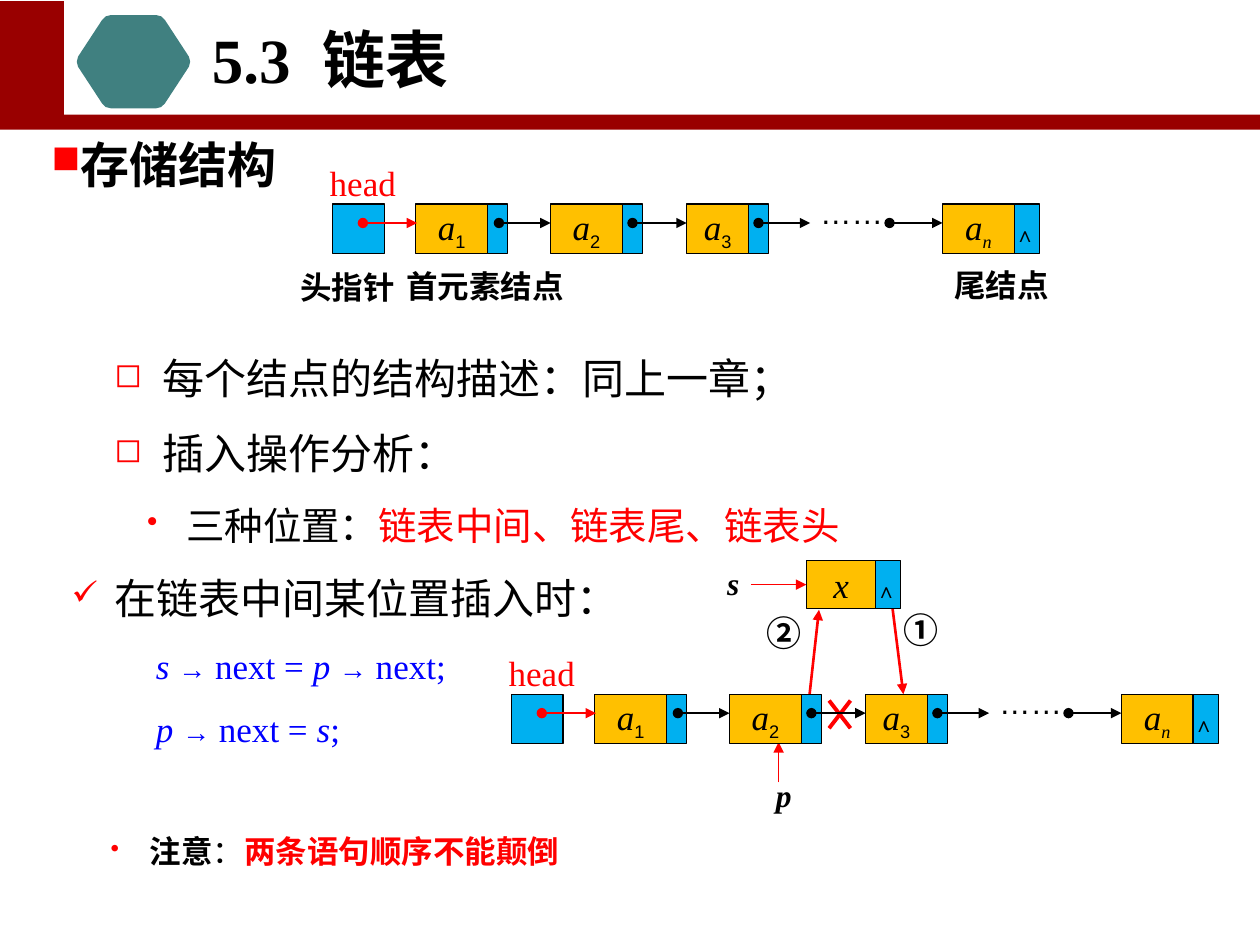
from lxml import etree
from pptx import Presentation
from pptx.dml.color import RGBColor
from pptx.enum.shapes import MSO_CONNECTOR, MSO_SHAPE
from pptx.enum.text import MSO_ANCHOR, PP_ALIGN
from pptx.oxml.ns import qn
from pptx.util import Inches, Pt

RED, BLACK, WHITE = "FF0000", "000000", "FFFFFF"
MAROON, TEAL, GOLD, SKY, BLUE = "990000", "408080", "FFC000", "00B0F0", "0000FF"
SERIF, SANS, HAN = "Times New Roman", "Arial", "Noto Sans CJK SC"
LINK = 0.16


def rgb(code):
    return RGBColor.from_string(code)


def style(font, size=None, name=None, color=None, bold=None, italic=None):
    if size:
        font.size = Pt(size)
    if name:
        font.name = name
    if color:
        font.color.rgb = rgb(color)
    if bold is not None:
        font.bold = bold
    if italic is not None:
        font.italic = italic


def write(par, runs, **look):
    """Fill a paragraph; each run is a string or a (string, changes) pair."""
    style(par.font, **look)
    for item in [runs] if isinstance(runs, str) else runs:
        text, diff = (item, {}) if isinstance(item, str) else item
        diff = dict(diff)
        base = diff.pop("base", None)
        run = par.add_run()
        run.text = text
        style(run.font, **diff)
        if base:
            run.font._element.set("baseline", str(base))


def bullet(par, char, left, hang):
    props = par._p.get_or_add_pPr()
    props.set("marL", str(Inches(left)))
    props.set("indent", str(-Inches(hang)))
    if char:
        tint = etree.SubElement(props, qn("a:buClr"))
        etree.SubElement(tint, qn("a:srgbClr")).set("val", RED)
        etree.SubElement(props, qn("a:buSzPct")).set("val", "80000")
        etree.SubElement(props, qn("a:buChar")).set("char", char)


def frame(slide, x, y, w, h, wrap=True):
    box = slide.shapes.add_textbox(Inches(x), Inches(y), Inches(w), Inches(h))
    box.text_frame.word_wrap = wrap
    return box.text_frame


def label(slide, x, y, runs, wide=0.9, **look):
    """One line of text centred on a point."""
    text = frame(slide, x - wide / 2, y - 0.2, wide, 0.4, wrap=False)
    text.vertical_anchor = MSO_ANCHOR.MIDDLE
    par = text.paragraphs[0]
    par.alignment = PP_ALIGN.CENTER
    write(par, runs, **look)


def paint(shape, fill, edge=None):
    shape.shadow.inherit = False
    shape.fill.solid()
    shape.fill.fore_color.rgb = rgb(fill)
    if edge:
        shape.line.color.rgb = rgb(edge)
        shape.line.width = Pt(0.75)
    else:
        shape.line.fill.background()


def rect(slide, x, y, w, h, fill, edge=None):
    shape = slide.shapes.add_shape(
        MSO_SHAPE.RECTANGLE, Inches(x), Inches(y), Inches(w), Inches(h))
    paint(shape, fill, edge)
    return shape


def cell(slide, x, y, w, h, fill, runs=None, **look):
    shape = rect(slide, x, y, w, h, fill, BLACK)
    if runs:
        text = shape.text_frame
        text.word_wrap = False
        text.vertical_anchor = MSO_ANCHOR.MIDDLE
        par = text.paragraphs[0]
        par.alignment = PP_ALIGN.CENTER
        write(par, runs, name=SERIF, color=BLACK, **look)


def end(slide, x, y, h):
    cell(slide, x, y, 0.2, h, SKY, [" ∧", (" ", dict(size=20, bold=False))],
         size=12, bold=True)


def line(slide, x1, y1, x2, y2, color, width=0.75, dot=False, tip=True):
    wire = slide.shapes.add_connector(
        MSO_CONNECTOR.STRAIGHT, Inches(x1), Inches(y1), Inches(x2), Inches(y2))
    wire.line.color.rgb = rgb(color)
    wire.line.width = Pt(width)
    props = wire.line._get_or_add_ln()
    if dot:
        etree.SubElement(props, qn("a:headEnd")).set("type", "oval")
    if tip:
        etree.SubElement(props, qn("a:tailEnd")).set("type", "triangle")
    etree.SubElement(wire._element.spPr, qn("a:effectLst"))


def chain(slide, x, y):
    """Linked list whose head cell starts at x, y."""
    high = 0.39
    cell(slide, x, y, 0.41, high, SKY)
    sub = dict(size=18, name=SANS, italic=False, base=-25000)
    last = dict(size=18, base=-25000)
    nodes = [(0.66, 0.57, "1", sub), (1.73, 0.57, "2", sub),
             (2.81, 0.49, "3", sub), (4.84, 0.57, "n", last)]
    for left, wide, mark, look in nodes:
        cell(slide, x + left, y, wide, high, GOLD, ["a", (mark, look)],
             size=20, italic=True)
        if mark == "n":
            end(slide, x + left + wide, y, high)
        else:
            cell(slide, x + left + wide, y, LINK, high, SKY)
    label(slide, x + 4.12, y + 0.06, "……", size=18, name=SANS, color=BLACK)
    label(slide, x + 0.24, y - 0.17, "head", size=20, name=SERIF, color=RED)
    wires = [(0.24, 0.67, RED), (1.32, 1.73, BLACK), (2.38, 2.81, BLACK),
             (3.38, 3.79, BLACK), (4.42, 4.84, BLACK)]
    for start, stop, color in wires:
        line(slide, x + start, y + 0.15, x + stop, y + 0.15, color, dot=True)


def header(slide):
    rect(slide, 0, 0.01, 10, 1.02, MAROON)
    rect(slide, 0.51, 0, 9.49, 0.91, WHITE)
    # Rounded hexagon, one quarter mirrored to all four
    arc = [(0.45, 0), (0.44, 0.04), (0.25, 0.33), (0.22, 0.36), (0.18, 0.37)]
    half = arc + [(-a, b) for a, b in reversed(arc)]
    ring = half + [(-a, -b) for a, b in half]
    dots = [(Inches(1.06 + a), Inches(0.49 + b)) for a, b in ring]
    pen = slide.shapes.build_freeform(*dots[0])
    pen.add_line_segments(dots[1:], close=True)
    paint(pen.convert_to_shape(), TEAL)
    label(slide, 2.62, 0.46, ["5.3  ", ("链表", dict(name=HAN))], wide=3,
          size=36, name=SERIF, color=BLACK, bold=True)


def body(slide):
    # Section heading
    par = frame(slide, 0.31, 1.04, 2.2, 0.55).paragraphs[0]
    par.line_spacing = Pt(32)
    bullet(par, "■", 0.22, 0.22)
    write(par, "存储结构", size=28, name=SANS, color=BLACK, bold=True)

    # Points and the two statements
    slant, arrow = dict(italic=True), ("→", dict(size=16))
    han = dict(name=SANS, color=BLACK)
    code = dict(size=20, name=SERIF, color=BLUE)
    rows = [
        ("◻", 0.88, 0.38, 43, "每个结点的结构描述：同上一章；", dict(han, size=24)),
        ("◻", 0.88, 0.38, 43, "插入操作分析：", dict(han, size=24)),
        ("•", 1.07, 0.31, 40,
         ["三种位置：", ("链表中间、链表尾、链表头", dict(color=RED))],
         dict(han, size=22)),
        ("✓", 0.5, 0.34, 43, "在链表中间某位置插入时：", dict(han, size=24)),
        (None, 0.83, 0, 36,
         [("s ", slant), arrow, " next = ", ("p ", slant), arrow, " next;"], code),
        (None, 0.83, 0, 36,
         [("p ", slant), arrow, " next = ", ("s", slant), ";"], code),
    ]
    text = frame(slide, 0.31, 2.55, 7, 3.5)
    for i, (char, left, hang, pitch, runs, look) in enumerate(rows):
        par = text.add_paragraph() if i else text.paragraphs[0]
        par.line_spacing = Pt(pitch)
        bullet(par, char, left, hang)
        write(par, runs, **look)

    # Closing note
    par = frame(slide, 0.78, 6.59, 3.89, 0.37, wrap=False).paragraphs[0]
    par.line_spacing = 0.9
    bullet(par, "•", 0.31, 0.31)
    write(par, ["注意", ("：", dict(bold=False)),
                ("两条语句顺序不能颠倒", dict(color=RED))],
          size=18, name=SANS, color=BLACK, bold=True)


def insert(slide):
    """Pointers and new node of the insertion."""
    line(slide, 6.18, 6.21, 6.18, 5.89, RED)
    line(slide, 6.58, 5.56, 6.75, 5.78, RED, 2.25, tip=False)
    line(slide, 6.75, 5.56, 6.58, 5.78, RED, 2.25, tip=False)
    line(slide, 7.06, 4.64, 7.17, 5.51, RED, 1.5)
    line(slide, 6.42, 5.56, 6.5, 4.84, RED, 1.5)
    line(slide, 5.96, 4.64, 6.4, 4.64, RED)
    for x, y, mark in [(6.22, 5.02, "②"), (7.31, 5, "①")]:
        label(slide, x, y, mark, size=20, name=HAN, color=BLACK, bold=True)
    for x, y, name in [(5.82, 4.63, "s"), (6.22, 6.31, "p")]:
        label(slide, x, y, name, size=18, name=SERIF, color=BLACK,
              bold=True, italic=True)
    cell(slide, 6.4, 4.45, 0.55, 0.38, GOLD, "x", size=20, italic=True)
    end(slide, 6.95, 4.45, 0.38)


def main():
    deck = Presentation()
    deck.slide_width, deck.slide_height = Inches(10), Inches(7.5)
    slide = deck.slides.add_slide(deck.slide_layouts[6])
    header(slide)
    body(slide)
    insert(slide)
    # The list before and during insertion
    chain(slide, 2.64, 1.62)
    chain(slide, 4.06, 5.51)
    for x, y, name in [(2.76, 2.28, "头指针"), (3.85, 2.27, "首元素结点"),
                       (7.95, 2.26, "尾结点")]:
        label(slide, x, y, name, wide=1.6, size=18, name=SANS, color=BLACK,
              bold=True)
    deck.save("out.pptx")


if __name__ == "__main__":
    main()
